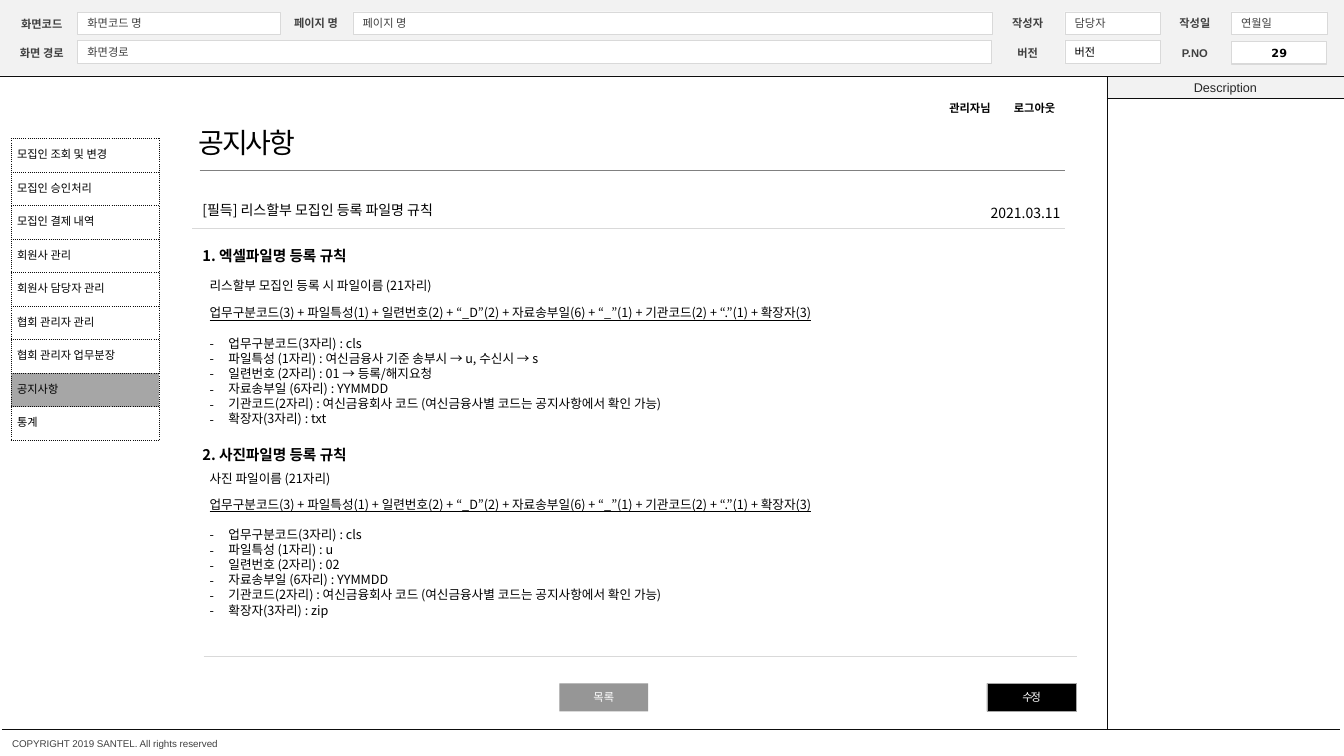
import pptx
import pptx.dml.color
import pptx.enum.dml
import pptx.enum.shapes
import pptx.enum.text
import pptx.oxml
import pptx.oxml.ns
import pptx.util
from lxml import etree

Pt = pptx.util.Pt
qn = pptx.oxml.ns.qn
ALIGN = pptx.enum.text.PP_ALIGN
ANCHOR = pptx.enum.text.MSO_ANCHOR
NOTO = "Noto Sans CJK KR"
COLORS = {
    "black": "000000", "white": "FFFFFF", "ink": "0D0D0D", "text": "404040",
    "dark": "262626", "panel": "F2F2F2", "border": "D9D9D9", "rule": "808080",
    "selected": "A6A6A6", "button": "969696",
}
LABELS = [
    ("화면코드", 4.3, 12.2), ("화면 경로", 4.3, 33.1), ("페이지 명", 200.2, 11.7),
    ("작성자", 708.5, 11.7), ("작성일", 828, 11.9), ("버전", 708.5, 33.1), ("P.NO", 828, 33.1),
]
FIELDS = [
    ("화면코드 명", 55.4, 8.8, 144.9, "text"), ("페이지 명", 252, 8.4, 456.5, "text"),
    ("화면경로", 55.4, 29, 653, "text"), ("담당자", 760.5, 8.4, 68.4, "text"),
    ("연월일", 879.4, 8.4, 68.4, "text"), ("버전", 760.5, 29, 68.4, "black"),
]
MENU = [
    "모집인 조회 및 변경", "모집인 승인처리", "모집인 결제 내역", "회원사 관리", "회원사 담당자 관리",
    "협회 관리자 관리", "협회 관리자 업무분장", "공지사항", "통계",
]
FILE_NAME_RULE = ("업무구분코드(3) + 파일특성(1) + 일련번호(2) + “_D”(2) + 자료송부일(6) + "
                  "“_”(1) + 기관코드(2) + “.”(1) + 확장자(3)")
SECTIONS = [
    # heading, its top, caption, caption top, rule top, type, serial number, extension
    ("1. 엑셀파일명 등록 규칙", 172.8, "리스할부 모집인 등록 시 파일이름 (21자리)", 195.1, 214.6,
     "여신금융사 기준 송부시 → u, 수신시 → s", "01 → 등록/해지요청", "txt"),
    ("2. 사진파일명 등록 규칙", 314.9, "사진 파일이름 (21자리)", 332.6, 351.2, "u", "02", "zip"),
]


def rgb(name):
    return pptx.dml.color.RGBColor.from_string(COLORS[name])


def style_paragraph(paragraph, size, color="black", font=NOTO, bold=False, align=ALIGN.LEFT,
                    underline=False, tracking=None):
    """Format a paragraph and its runs; line height is 1.2 times the text size."""
    paragraph.alignment = align
    paragraph.line_spacing = Pt(round(size * 1.2, 1))
    for run in paragraph.runs:
        run.font.size = Pt(size)
        run.font.name = font
        run.font.bold = bold
        run.font.underline = underline
        run.font.color.rgb = rgb(color)
        properties = run.font._element
        etree.SubElement(properties, qn("a:ea")).set("typeface", NOTO)
        if tracking:
            properties.set("spc", str(int(tracking * 100)))


def set_frame(text_frame, margins, anchor, wrap=True):
    """Set horizontal and vertical margins, anchor and wrapping."""
    text_frame.margin_left = text_frame.margin_right = Pt(margins[0])
    text_frame.margin_top = text_frame.margin_bottom = Pt(margins[1])
    text_frame.vertical_anchor = anchor
    text_frame.word_wrap = wrap


def add_text(slide, text, left, top, width, height, size, margins=(7.2, 3.6), **style):
    box = slide.shapes.add_textbox(Pt(left), Pt(top), Pt(width), Pt(height))
    set_frame(box.text_frame, margins, ANCHOR.TOP)
    box.text_frame.text = text
    for paragraph in box.text_frame.paragraphs:
        style_paragraph(paragraph, size, **style)
    return box


def add_box(slide, left, top, width, height, fill, line=None, line_width=0.25,
            text="", size=8, margin=0, **style):
    shape = slide.shapes.add_shape(pptx.enum.shapes.MSO_SHAPE.RECTANGLE,
                                   Pt(left), Pt(top), Pt(width), Pt(height))
    shape.shadow.inherit = False
    shape.fill.solid()
    shape.fill.fore_color.rgb = rgb(fill)
    if line:
        shape.line.color.rgb = rgb(line)
        shape.line.width = Pt(line_width)
    else:
        shape.line.fill.background()
    if text:
        set_frame(shape.text_frame, (margin, 0), ANCHOR.MIDDLE)
        shape.text_frame.text = text
        style_paragraph(shape.text_frame.paragraphs[0], size, **style)


def add_line(slide, start, end, color="ink", width=0.25, dotted=False):
    line = slide.shapes.add_connector(pptx.enum.shapes.MSO_CONNECTOR.STRAIGHT,
                                      Pt(start[0]), Pt(start[1]), Pt(end[0]), Pt(end[1]))
    line.line.color.rgb = rgb(color)
    line.line.width = Pt(width)
    if dotted:
        line.line.dash_style = pptx.enum.dml.MSO_LINE.ROUND_DOT
    etree.SubElement(line._element.spPr, qn("a:effectLst"))


def add_cell_borders(cell):
    properties = cell._tc.get_or_add_tcPr()
    for index, side in enumerate(("lnL", "lnR", "lnT", "lnB")):
        border = pptx.oxml.parse_xml(
            f'<a:{side} xmlns:a="http://schemas.openxmlformats.org/drawingml/2006/main" w="6350">'
            f'<a:solidFill><a:srgbClr val="{COLORS["ink"]}"/></a:solidFill>'
            f'<a:prstDash val="sysDot"/></a:{side}>')
        properties.insert(index, border)


def add_menu(slide, selected):
    row_height = 23.95
    frame = slide.shapes.add_table(len(MENU), 1, Pt(7.9), Pt(99), Pt(105.8),
                                   Pt(row_height * len(MENU)))
    table = frame.table
    table.first_row = table.horz_banding = False
    for index, item in enumerate(MENU):
        table.rows[index].height = Pt(row_height)
        cell = table.cell(index, 0)
        cell.fill.solid()
        cell.fill.fore_color.rgb = rgb("selected" if item == selected else "white")
        cell.margin_left = Pt(4.3)
        cell.margin_right = cell.margin_top = cell.margin_bottom = Pt(1.4)
        cell.vertical_anchor = ANCHOR.MIDDLE
        cell.text_frame.text = item
        style_paragraph(cell.text_frame.paragraphs[0], 8, font="Arial")
        add_cell_borders(cell)


def add_section(slide, heading, heading_top, caption, caption_top, rule_top, kind, serial, extension):
    add_text(slide, heading, 137.5, heading_top, 138.2, 20.9, 10.5, bold=True)
    add_text(slide, caption, 142.6, caption_top, 203.8, 18, 9)
    details = [
        "업무구분코드(3자리) : cls", f"파일특성 (1자리) : {kind}", f"일련번호 (2자리) : {serial}",
        "자료송부일 (6자리) : YYMMDD",
        "기관코드(2자리) : 여신금융회사 코드 (여신금융사별 코드는 공지사항에서 확인 가능)",
        f"확장자(3자리) : {extension}",
    ]
    box = add_text(slide, "\n".join([FILE_NAME_RULE] + details), 142.6, rule_top, 618.5, 94.3, 9)
    rule, *bullets = box.text_frame.paragraphs
    rule.runs[0].font.underline = True
    bullets[0].space_before = Pt(10.8)
    for paragraph in bullets:
        properties = paragraph._p.get_or_add_pPr()
        properties.set("marL", str(Pt(13.5)))
        properties.set("indent", str(-Pt(13.5)))
        etree.SubElement(properties, qn("a:buFont")).set("typeface", NOTO)
        etree.SubElement(properties, qn("a:buChar")).set("char", "-")


def add_page_frame(slide):
    add_box(slide, 0, 0, 960, 54, "panel")
    for text, left, top in LABELS:
        add_text(slide, text, left, top, 51.1, 9.4, 8, margins=(0, 0), font="Arial",
                 color="text", bold=True, align=ALIGN.CENTER)
    for text, left, top, width, color in FIELDS:
        add_box(slide, left, top, width, 16, "white", "border", text=text, margin=7.2,
                font="Arial", color=color)
    add_box(slide, 879.8, 29.8, 68, 16, "white", "border", 0.75, text="29",
            font="DejaVu Sans", bold=True, align=ALIGN.CENTER)
    add_box(slide, 790.6, 54.7, 169.4, 15.5, "panel", text="Description", size=9,
            font="Arial", color="dark", align=ALIGN.CENTER)
    for start, end in [((0, 54.4), (960, 54.4)), ((790.6, 69.8), (960, 69.8)),
                       ((790.6, 54.7), (790.6, 520.8)), ((1.4, 520.8), (957, 520.8))]:
        add_line(slide, start, end, dotted=True)
    add_text(slide, "COPYRIGHT 2019 SANTEL. All rights reserved", 8.6, 527, 262.8, 8.6, 7,
             margins=(0, 0), font="Arial", color="text")


def main():
    presentation = pptx.Presentation()
    presentation.slide_width = Pt(960)
    presentation.slide_height = Pt(540)
    slide = presentation.slides.add_slide(presentation.slide_layouts[6])
    add_page_frame(slide)
    for text, left in [("관리자님", 671), ("로그아웃", 717.1)]:
        add_text(slide, text, left, 69.1, 51.8, 17.3, 8, bold=True)
    add_menu(slide, "공지사항")
    add_text(slide, "공지사항", 134.6, 86.4, 175.7, 31.7, 20, font="Arial", tracking=-1.5)
    add_line(slide, (142.6, 122), (761, 122), "rule", 0.75)
    add_text(slide, "[필득] 리스할부 모집인 등록 파일명 규칙", 137.5, 140.4, 383, 19.4, 10)
    add_text(slide, "2021.03.11", 700.6, 142.6, 67, 19.4, 10)
    add_line(slide, (137.5, 163.4), (761, 163.4), "border", 0.75)
    for section in SECTIONS:
        add_section(slide, *section)
    add_line(slide, (145.4, 469.1), (769, 469.1), "border", 0.75)
    add_box(slide, 399.6, 488.2, 63.4, 20, "button", text="목록", color="white", align=ALIGN.CENTER)
    add_box(slide, 704.9, 488.2, 64.1, 20, "black", "selected", text="수정", font="Arial",
            color="white", align=ALIGN.CENTER, tracking=-1.5)
    presentation.save("out.pptx")


if __name__ == "__main__":
    main()
